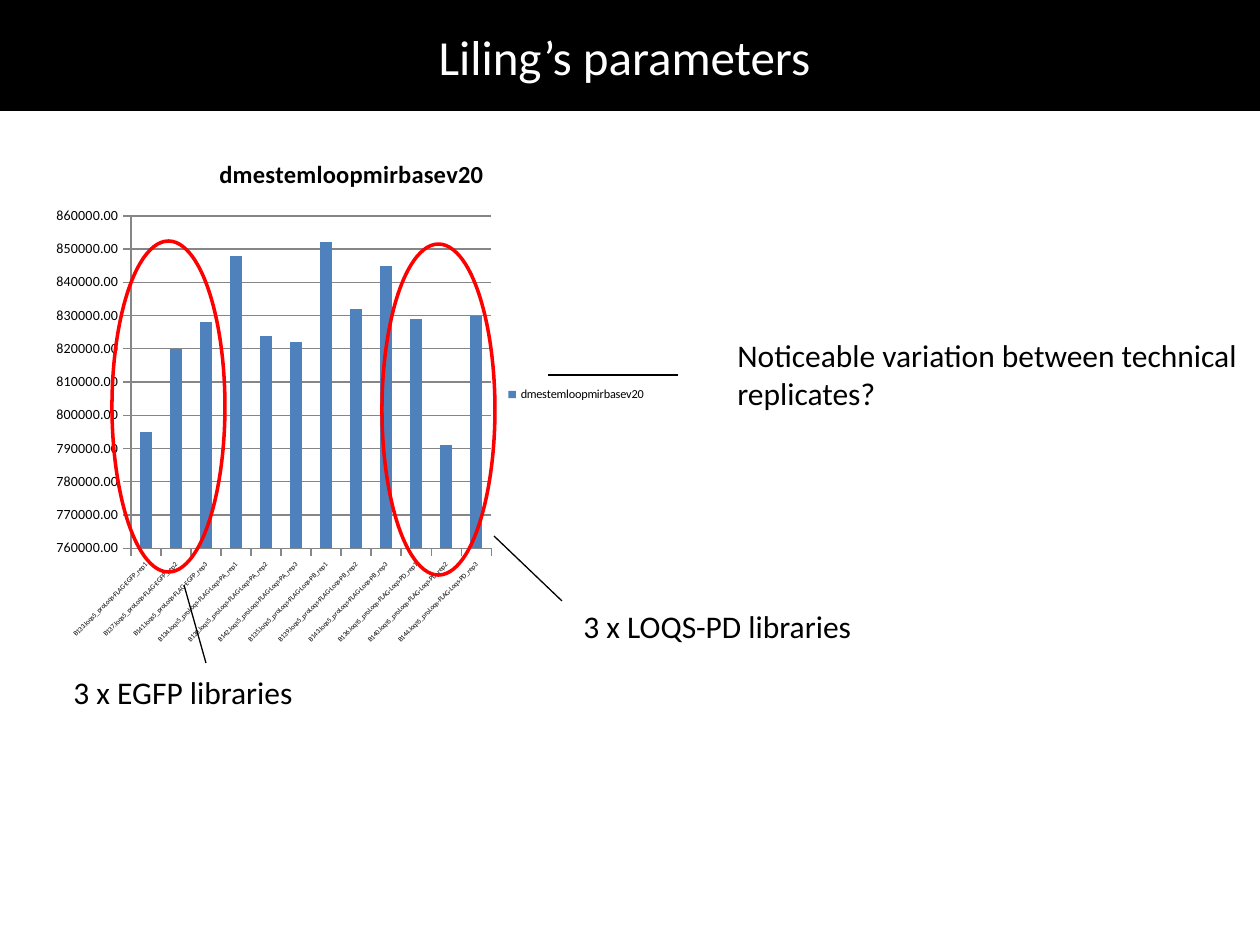
from dataclasses import dataclass

from pptx import Presentation
from pptx.chart.data import CategoryChartData
from pptx.dml.color import RGBColor
from pptx.enum.chart import XL_CHART_TYPE as ChartType
from pptx.enum.chart import XL_LEGEND_POSITION as LegendPosition
from pptx.enum.chart import XL_TICK_MARK as TickMark
from pptx.enum.shapes import MSO_CONNECTOR as Connector
from pptx.enum.shapes import MSO_SHAPE as Shape
from pptx.enum.text import MSO_ANCHOR as Anchor
from pptx.enum.text import MSO_AUTO_SIZE as AutoSize
from pptx.enum.text import PP_ALIGN as Align
from pptx.oxml.ns import qn
from pptx.util import Pt

EMU_PER_PX = 914400 / 126


@dataclass(frozen=True)
class Theme:
    font: str = "Calibri"
    black: RGBColor = RGBColor(0, 0, 0)
    white: RGBColor = RGBColor(255, 255, 255)
    red: RGBColor = RGBColor(255, 0, 0)
    blue: RGBColor = RGBColor(0x4F, 0x81, 0xBD)
    gray: RGBColor = RGBColor(0x86, 0x86, 0x86)
    title_size: int = 28
    note_size: int = 18
    chart_title_size: int = 14
    chart_size: int = 10
    value_size: int = 8
    legend_size: int = 7
    category_size: int = 4
    ring_width: float = 2
    line_width: float = 0.75


THEME = Theme()

SERIES_NAME = "dmestemloopmirbasev20"
SAMPLES = [
    ("EGFP", (133, 137, 141), (795000, 820000, 828000)),
    ("Loqs-PA", (134, 138, 142), (848000, 824000, 822000)),
    ("Loqs-PB", (135, 139, 143), (852000, 832000, 845000)),
    ("Loqs-PD", (136, 140, 144), (829000, 791000, 830000)),
]


def px(*lengths):
    return [round(length * EMU_PER_PX) for length in lengths]


def style_font(font, size, color, bold=None):
    font.name = THEME.font
    font.size = Pt(size)
    font.color.rgb = color
    font.bold = bold


def add_run(paragraph, text, size, color, bold=None):
    run = paragraph.add_run()
    run.text = text
    style_font(run.font, size, color, bold)


def set_title(slide, text, box):
    title = slide.shapes.title
    title.left, title.top, title.width, title.height = px(*box)
    title.fill.solid()
    title.fill.fore_color.rgb = THEME.black
    title.text_frame.vertical_anchor = Anchor.MIDDLE
    paragraph = title.text_frame.paragraphs[0]
    paragraph.alignment = Align.CENTER
    add_run(paragraph, text, THEME.title_size, THEME.white)


def style_axis(axis, size):
    axis.major_tick_mark = TickMark.OUTSIDE
    axis.minor_tick_mark = TickMark.NONE
    axis.format.line.color.rgb = THEME.gray
    style_font(axis.tick_labels.font, size, THEME.black)


def add_library_chart(slide, box):
    data = CategoryChartData()
    data.categories = [
        f"B{number}.loqs5_proLoqs-FLAG-{library}_rep{replicate}"
        for library, numbers, _ in SAMPLES
        for replicate, number in enumerate(numbers, 1)
    ]
    data.add_series(SERIES_NAME, [value for _, _, values in SAMPLES for value in values])
    chart = slide.shapes.add_chart(ChartType.COLUMN_CLUSTERED, *px(*box), data).chart
    style_font(chart.font, THEME.chart_size, THEME.black)

    chart.has_title = True
    paragraph = chart.chart_title.text_frame.paragraphs[0]
    add_run(paragraph, SERIES_NAME, THEME.chart_title_size, THEME.black, True)
    chart.has_legend = True
    chart.legend.position = LegendPosition.RIGHT
    chart.legend.include_in_layout = False
    style_font(chart.legend.font, THEME.legend_size, THEME.black)

    style_axis(chart.category_axis, THEME.category_size)
    label_body = chart.category_axis._element.find(qn("c:txPr")).find(qn("a:bodyPr"))
    label_body.set("rot", "-2700000")
    values = chart.value_axis
    style_axis(values, THEME.value_size)
    values.minimum_scale, values.maximum_scale, values.major_unit = 760000, 860000, 10000
    values.tick_labels.number_format = "0.00"
    values.tick_labels.number_format_is_linked = False
    values.major_gridlines.format.line.color.rgb = THEME.gray

    plot = chart.plots[0]
    plot.gap_width = 150
    plot.vary_by_categories = False
    fill = plot.series[0].format.fill
    fill.solid()
    fill.fore_color.rgb = THEME.blue


def add_ring(slide, box):
    ring = slide.shapes.add_shape(Shape.OVAL, *px(*box))
    ring.shadow.inherit = False
    ring.fill.background()
    ring.line.color.rgb = THEME.red
    ring.line.width = Pt(THEME.ring_width)


def add_line(slide, ends):
    line = slide.shapes.add_connector(Connector.STRAIGHT, *px(*ends))
    line.line.color.rgb = THEME.black
    line.line.width = Pt(THEME.line_width)
    properties = line._element.spPr
    properties.append(properties.makeelement(qn("a:effectLst"), {}))


def add_note(slide, text, box):
    frame = slide.shapes.add_textbox(*px(*box)).text_frame
    frame.word_wrap = True
    frame.auto_size = AutoSize.SHAPE_TO_FIT_TEXT
    add_run(frame.paragraphs[0], text, THEME.note_size, THEME.black)


def main():
    presentation = Presentation()
    presentation.slide_width, presentation.slide_height = px(1260, 945)
    slide = presentation.slides.add_slide(presentation.slide_layouts[5])

    set_title(slide, "Liling’s parameters ", (0, 0, 1260, 111))
    add_library_chart(slide, (44, 135, 615, 519))
    for left, top in ((382, 244), (112, 241)):
        add_ring(slide, (left, top, 113, 331))
    for ends in ((548, 375, 678, 375), (494, 536, 562, 601), (184, 585, 206, 663)):
        add_line(slide, ends)
    add_note(slide, "Noticeable variation between technical replicates?", (725, 330, 546, 89))
    add_note(slide, "3 x LOQS-PD libraries", (571, 601, 307, 50))
    add_note(slide, "3 x EGFP libraries", (61, 667, 307, 50))

    presentation.save("out.pptx")


if __name__ == "__main__":
    main()
